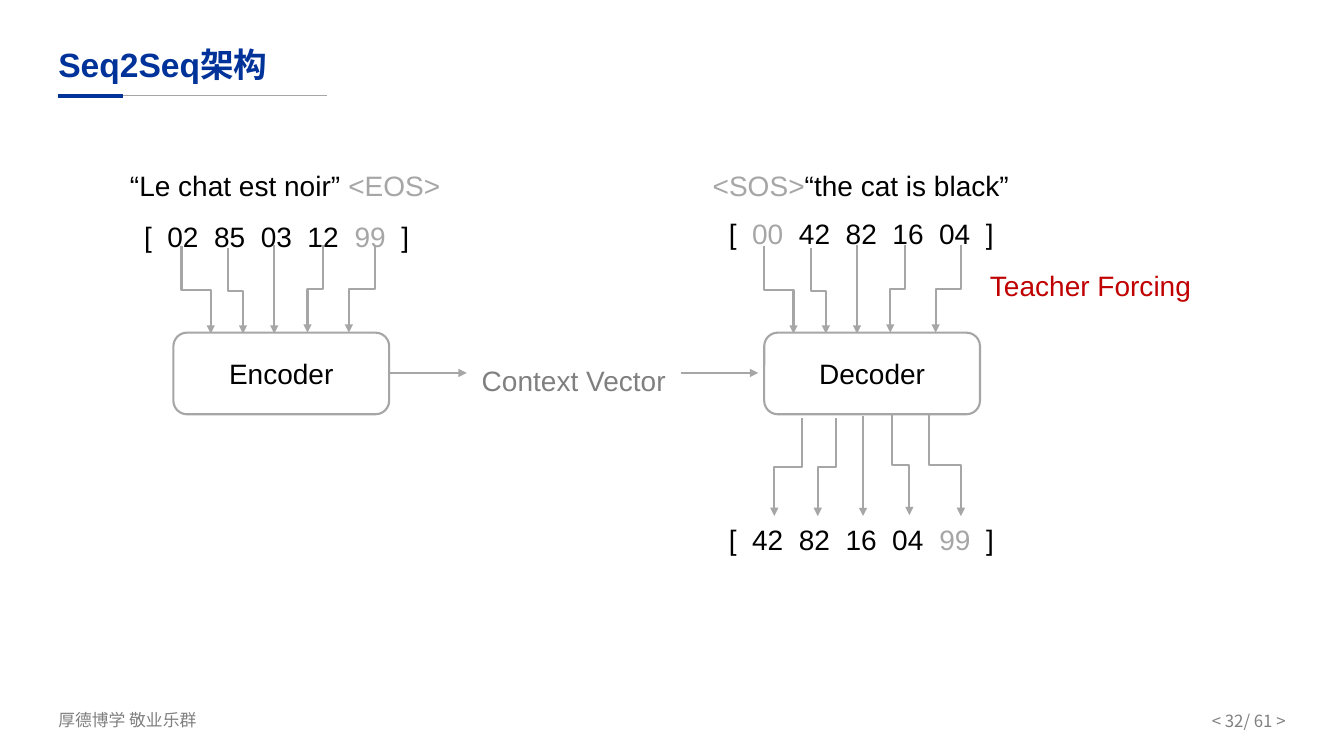
from dataclasses import dataclass

from lxml.etree import SubElement
from pptx import Presentation
from pptx.dml.color import RGBColor
from pptx.enum.shapes import MSO_CONNECTOR, MSO_SHAPE
from pptx.enum.text import MSO_ANCHOR, PP_ALIGN
from pptx.oxml.ns import qn
from pptx.util import Inches, Pt


@dataclass(frozen=True)
class Theme:
    blue: str = "003399"
    black: str = "000000"
    white: str = "FFFFFF"
    gray: str = "808080"
    light: str = "A6A6A6"
    red: str = "C00000"
    latin: str = "Arial"
    cjk: str = "Noto Sans CJK SC"
    title: int = 24
    body: int = 20
    footer: int = 12
    line: float = 1.5


THEME = Theme()


def fill_paragraph(paragraph, parts, size, font=THEME.latin, bold=False):
    for words, color in parts:
        run = paragraph.add_run()
        run.text = words
        run.font.size = Pt(size)
        run.font.name = font
        run.font.bold = bold
        run.font.color.rgb = RGBColor.from_string(color)
        SubElement(run.font._element, qn("a:ea")).set("typeface", THEME.cjk)


def add_text(slide, box, parts, size=THEME.body, font=THEME.latin, bold=False,
             spacing=None, align=PP_ALIGN.LEFT, anchor=MSO_ANCHOR.TOP):
    frame = slide.shapes.add_textbox(*map(Inches, box)).text_frame
    frame.word_wrap = True
    frame.vertical_anchor = anchor
    paragraph = frame.paragraphs[0]
    paragraph.alignment = align
    paragraph.line_spacing = spacing
    fill_paragraph(paragraph, parts, size, font, bold)


def add_label(slide, left, top, width, *parts):
    add_text(slide, (left, top, width, 0.54), parts, spacing=1.5)


def add_line(slide, kind, start, end, color, width):
    line = slide.shapes.add_connector(kind, *map(Inches, (*start, *end)))
    line.line.color.rgb = RGBColor.from_string(color)
    line.line.width = Pt(width)
    SubElement(line._element.spPr, qn("a:effectLst"))
    return line


def add_arrow(slide, start, end):
    arrow = add_line(slide, MSO_CONNECTOR.ELBOW, start, end, THEME.light, THEME.line)
    SubElement(arrow.line._get_or_add_ln(), qn("a:tailEnd")).set("type", "triangle")
    return arrow


def add_drop_arrow(slide, x_start, y_start, x_end, y_end):
    x_mid, y_mid = (x_start + x_end) / 2, (y_start + y_end) / 2
    half_run, half_shift = (y_end - y_start) / 2, abs(x_end - x_start) / 2
    to_right = x_end > x_start
    side = 1 if to_right else -1
    arrow = add_arrow(slide, (x_mid + side * half_run, y_mid - half_shift),
                      (x_mid - side * half_run, y_mid + half_shift))
    rotation = 270 if to_right else 90
    arrow._element.spPr.find(qn("a:xfrm")).set("rot", str(rotation * 60000))


def add_block(slide, left, name):
    block = slide.shapes.add_shape(
        MSO_SHAPE.ROUNDED_RECTANGLE, *map(Inches, (left, 3.3, 2.14, 0.81)))
    block.shadow.inherit = False
    block.fill.solid()
    block.fill.fore_color.rgb = RGBColor.from_string(THEME.white)
    block.line.color.rgb = RGBColor.from_string(THEME.light)
    block.line.width = Pt(THEME.line)
    block.text_frame.vertical_anchor = MSO_ANCHOR.MIDDLE
    paragraph = block.text_frame.paragraphs[0]
    paragraph.alignment = PP_ALIGN.CENTER
    fill_paragraph(paragraph, [(name, THEME.black)], THEME.body)


def add_frame(slide):
    for end, color, width in ((3.24, THEME.light, 0.5), (1.22, THEME.blue, 3)):
        add_line(slide, MSO_CONNECTOR.STRAIGHT, (0.58, 0.95), (end, 0.95), color, width)
    add_text(slide, (0.48, 0.32, 9.9, 0.68), [("Seq2Seq架构", THEME.blue)], THEME.title,
             bold=True, spacing=0.9, anchor=MSO_ANCHOR.MIDDLE)
    add_text(slide, (0.48, 6.99, 1.69, 0.3), [("厚德博学 敬业乐群", THEME.gray)],
             THEME.footer, THEME.cjk)
    add_text(slide, (9.85, 6.99, 3, 0.32), [("< 32/ 61 >", THEME.gray)], THEME.footer,
             THEME.cjk, align=PP_ALIGN.RIGHT, anchor=MSO_ANCHOR.MIDDLE)


def add_sequences(slide):
    black, light = THEME.black, THEME.light
    add_label(slide, 1.19, 1.46, 3.88, ("“Le chat est noir” ", black), ("<EOS>", light))
    add_label(slide, 1.33, 1.96, 3.91,
              ("[  02  85  03  12  ", black), ("99  ", light), ("]", black))
    add_label(slide, 6.97, 1.46, 3.88, ("<SOS>", light), ("“the cat is black”", black))
    add_label(slide, 7.13, 1.93, 3.44,
              ("[ ", black), (" 00  ", light), ("42  82  16  04  ]", black))
    add_label(slide, 7.13, 4.97, 3.44,
              ("[  42  82  16  04", black), ("  99  ", light), ("]", black))


def add_input_arrows(slide, offset, last_start, last_end):
    inputs = ((1.8, 2.44, 2.09, 3.31), (2.26, 2.46, 2.41, 3.31), (2.72, 2.43, 2.72, 3.31),
              (3.2, 2.43, 3.05, 3.3), (last_start, 2.43, last_end, 3.3))
    for x_start, y_start, x_end, y_end in inputs:
        add_drop_arrow(slide, x_start + offset, y_start, x_end + offset, y_end)


def add_output_arrows(slide):
    outputs = ((7.95, 4.15, 7.68, 5.12), (8.29, 4.15, 8.11, 5.12), (8.56, 4.13, 8.56, 5.12),
               (8.85, 4.12, 9.02, 5.11), (9.21, 4.11, 9.53, 5.12))
    for output in outputs:
        add_drop_arrow(slide, *output)


def main():
    presentation = Presentation()
    presentation.slide_width = Inches(13.33)
    presentation.slide_height = Inches(7.5)
    slide = presentation.slides.add_slide(presentation.slide_layouts[6])
    add_frame(slide)
    add_sequences(slide)
    add_input_arrows(slide, 0, 3.72, 3.46)
    add_input_arrows(slide, 5.78, 3.75, 3.5)
    add_block(slide, 1.72, "Encoder")
    add_block(slide, 7.58, "Decoder")
    for left in (3.86, 6.75):
        add_arrow(slide, (left, 3.7), (left + 0.77, 3.7))
    add_output_arrows(slide)
    add_label(slide, 4.68, 3.39, 2.14, ("Context Vector", THEME.gray))
    add_label(slide, 9.72, 2.45, 2.22, ("Teacher Forcing", THEME.red))
    presentation.save("out.pptx")


if __name__ == "__main__":
    main()
